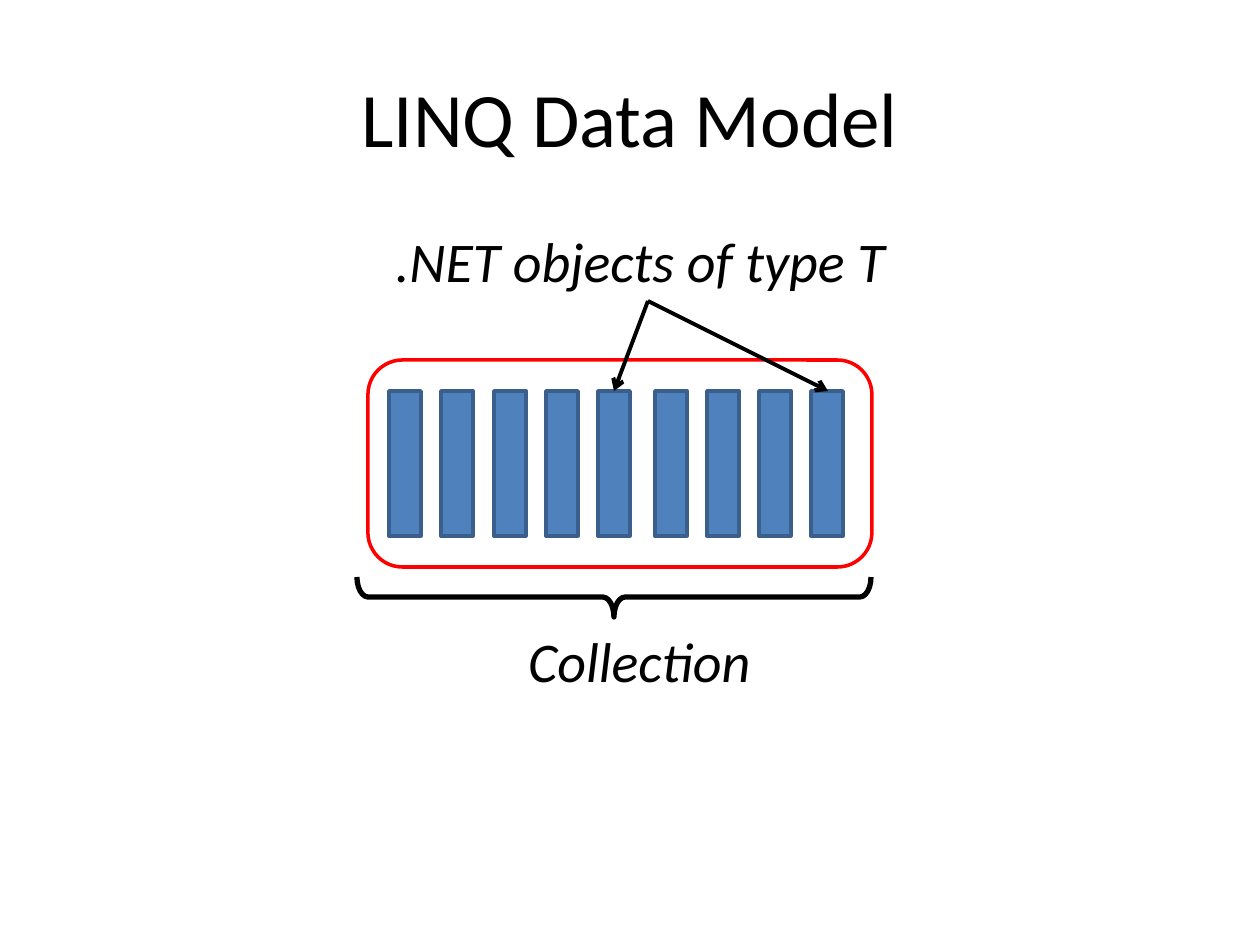
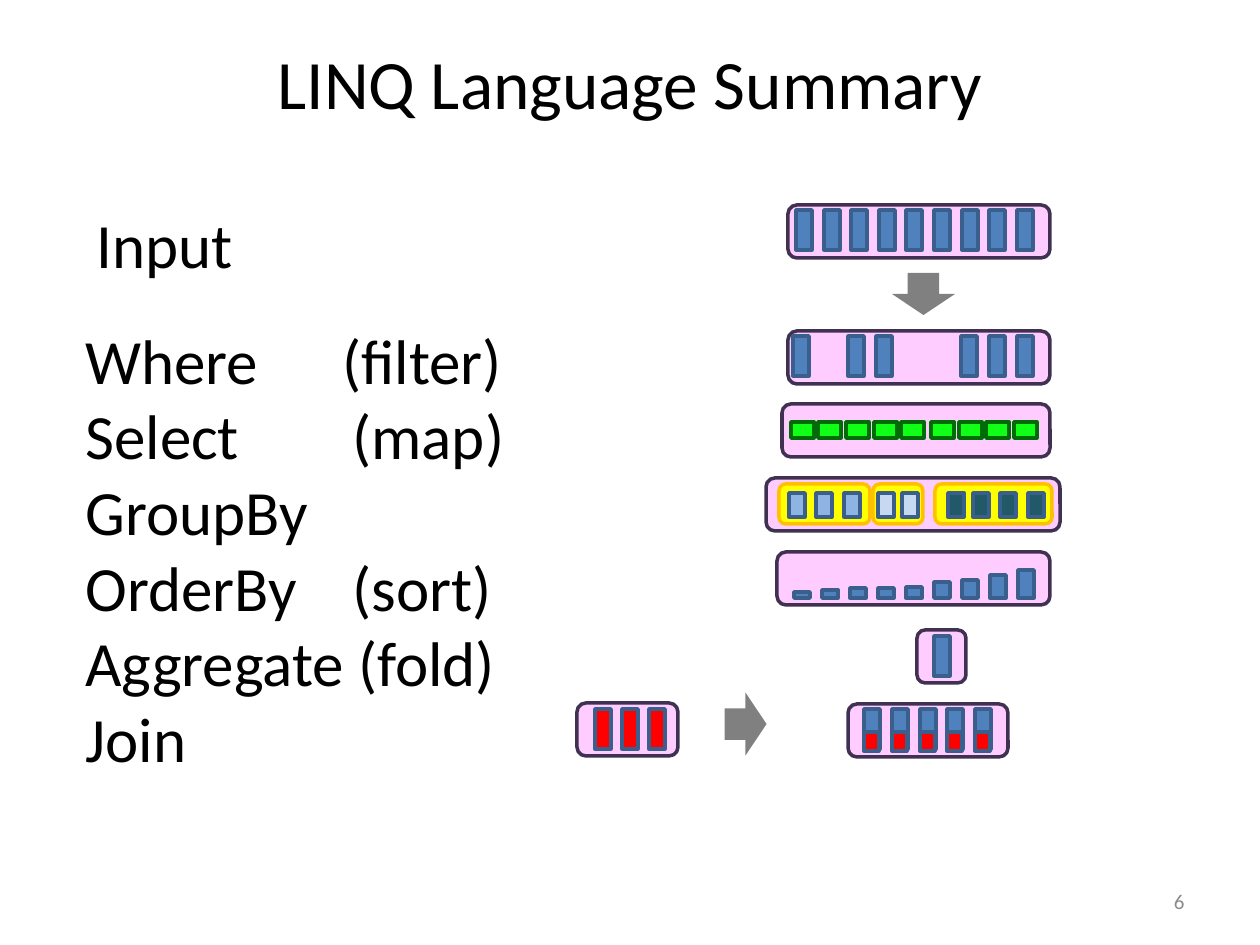
from dataclasses import dataclass

from lxml import etree
from pptx import Presentation
from pptx import util as u
from pptx.dml.color import RGBColor
from pptx.enum import shapes, text
from pptx.oxml import ns

# Shared style
SCALE = 914400 / 126
FONT = "Calibri"
COLORS = {
    "black": "000000", "number": "8C8C8C", "red": "FF0000",
    "blue": "4F81BD", "navy": "3A5F8C", "sky": "8EB4E3", "pale": "C6D9F1",
    "teal": "215968", "green": "11FF17", "forest": "006C05",
    "pink": "FFCCFF", "plum": "403152", "yellow": "FFFF00",
    "amber": "FFC000", "gray": "808080",
}
PRESET = shapes.MSO_SHAPE
ALIGN = text.PP_ALIGN


@dataclass
class Box:
    left: int
    top: int
    width: int
    height: int


@dataclass
class BarRow:
    """Equal bars spread from the first left edge to the last one."""
    first: int
    last: int
    count: int
    top: int
    height: int = 40
    width: int = 16
    fill: str = "blue"
    line: str = "navy"


def px(value: float) -> u.Emu:
    return u.Emu(round(value * SCALE))


def place(box: Box) -> tuple:
    return px(box.left), px(box.top), px(box.width), px(box.height)


def color(name: str) -> RGBColor:
    return RGBColor.from_string(COLORS[name])


def style_text(tf, size: float, align=ALIGN.LEFT, ink="black", italic=False) -> None:
    for p in tf.paragraphs:
        p.alignment = align
        for r in p.runs:
            r.font.name, r.font.size, r.font.italic = FONT, u.Pt(size), italic
            r.font.color.rgb = color(ink)


def add_title(prs, title: str, box: Box, size: float):
    slide = prs.slides.add_slide(prs.slide_layouts[5])
    sp = slide.shapes.title
    sp.left, sp.top, sp.width, sp.height = place(box)
    tf = sp.text_frame
    tf.text = title
    tf.auto_size = text.MSO_AUTO_SIZE.NONE
    tf.vertical_anchor = text.MSO_ANCHOR.MIDDLE
    style_text(tf, size, ALIGN.CENTER)
    return slide


def add_text(slide, words: str, box: Box, size: float, **style):
    tf = slide.shapes.add_textbox(*place(box)).text_frame
    tf.word_wrap = True
    tf.text = words
    style_text(tf, size, **style)
    return tf


def add_shape(slide, preset, box: Box, fill=None, line=None, weight: float = 2):
    sp = slide.shapes.add_shape(preset, *place(box))
    sp.shadow.inherit = False
    if fill:
        sp.fill.solid()
        sp.fill.fore_color.rgb = color(fill)
    else:
        sp.fill.background()
    if line:
        sp.line.color.rgb = color(line)
        sp.line.width = u.Pt(weight)
    else:
        sp.line.fill.background()
    return sp


def add_bars(slide, row: BarRow) -> None:
    pitch = (row.last - row.first) / max(row.count - 1, 1)
    for i in range(row.count):
        box = Box(round(row.first + i * pitch), row.top, row.width, row.height)
        add_shape(slide, PRESET.RECTANGLE, box, row.fill, row.line)


def add_arrow(slide, start: tuple[int, int], end: tuple[int, int]) -> None:
    line = slide.shapes.add_connector(
        shapes.MSO_CONNECTOR.STRAIGHT, *map(px, start + end))
    line.line.color.rgb = color("black")
    line.line.width = u.Pt(2.25)
    etree.SubElement(line.line._get_or_add_ln(), ns.qn("a:tailEnd"), type="arrow")
    etree.SubElement(line._element.spPr, ns.qn("a:effectLst"))


def add_tab(p, position: int) -> None:
    tabs = etree.SubElement(p._p.get_or_add_pPr(), ns.qn("a:tabLst"))
    etree.SubElement(tabs, ns.qn("a:tab"), pos=str(px(position)), algn="l")


def data_model(prs) -> None:
    slide = add_title(prs, "LINQ Data Model", Box(63, 38, 1134, 157), 44)

    # Collection of objects
    for first, last, count in ((389, 598, 5), (655, 811, 4)):
        add_bars(slide, BarRow(first, last, count, 391, 145, 32))
    add_shape(slide, PRESET.ROUNDED_RECTANGLE, Box(368, 360, 504, 207), line="red")
    brace = add_shape(slide, PRESET.LEFT_BRACE, Box(594, 340, 40, 514),
                      line="black", weight=3)
    brace.rotation = 270
    brace.adjustments[0] = 0.28

    # Labels and pointers
    add_text(slide, "Collection", Box(514, 620, 251, 81), 32,
             align=ALIGN.CENTER, italic=True)
    add_text(slide, ".NET objects of type T", Box(383, 220, 530, 81), 32, italic=True)
    for tip in ((828, 391), (614, 391)):
        add_arrow(slide, (648, 301), tip)


def language_summary(prs) -> None:
    slide = add_title(prs, "LINQ Language Summary", Box(63, 38, 1134, 88), 39.6)

    # Operator names, with their classic names at a tab stop
    add_text(slide, "Input", Box(84, 199, 163, 89), 36)
    operators = (("Where\t(filter)", 257), ("Select\t(map)", 267), ("GroupBy", 0),
                 ("OrderBy\t(sort)", 267), ("Aggregate (fold)", 0), ("Join", 0))
    tf = add_text(slide, "\n".join(words for words, _ in operators),
                  Box(73, 315, 460, 471), 36)
    for p, (_, stop) in zip(tf.paragraphs, operators):
        if stop:
            add_tab(p, stop)

    # Collections
    collections = (
        Box(788, 205, 262, 53),   # input
        Box(788, 331, 262, 53),   # where
        Box(782, 404, 268, 53),   # select
        Box(766, 478, 294, 53),   # group by
        Box(777, 552, 273, 53),   # order by
        Box(917, 630, 49, 53),    # aggregate
        Box(577, 703, 101, 53),   # join, second input
        Box(848, 704, 160, 53),   # join, result
    )
    for box in collections:
        add_shape(slide, PRESET.ROUNDED_RECTANGLE, box, "pink", "plum")
    for left, width in ((779, 91), (873, 50), (935, 117)):
        add_shape(slide, PRESET.ROUNDED_RECTANGLE, Box(left, 484, width, 40),
                  "yellow", "amber")

    # Elements of each collection
    green = dict(height=16, width=23, fill="green", line="forest")
    rows = (
        BarRow(796, 1017, 9, 210),
        BarRow(793, 793, 1, 336),
        BarRow(848, 876, 2, 336),
        BarRow(961, 1017, 3, 336),
        BarRow(791, 901, 5, 422, **green),
        BarRow(931, 1014, 4, 422, **green),
        BarRow(789, 844, 3, 493, 24, fill="sky"),
        BarRow(878, 902, 2, 493, 24, fill="pale"),
        BarRow(948, 948, 1, 493, 24, fill="teal"),
        BarRow(973, 1028, 3, 493, 24, fill="teal"),
        BarRow(934, 934, 1, 636),
        BarRow(595, 649, 3, 709, fill="red"),
        BarRow(864, 975, 5, 709),
        BarRow(864, 975, 5, 732, 19, 15, "red"),
    )
    for row in rows:
        add_bars(slide, row)

    # Sorted bars share one baseline
    baseline = 598
    for i, height in enumerate((6, 8, 10, 10, 11, 16, 18, 23, 28)):
        add_shape(slide, PRESET.RECTANGLE,
                  Box(794 + 28 * i, baseline - height, 16, height), "blue", "navy")

    # Flow arrows
    for box, turn in ((Box(892, 273, 63, 42), 0), (Box(714, 703, 63, 42), 270)):
        add_shape(slide, PRESET.DOWN_ARROW, box, "gray").rotation = turn

    # Slide number
    tf = add_text(slide, "6", Box(903, 876, 294, 50), 12,
                  align=ALIGN.RIGHT, ink="number")
    tf.vertical_anchor = text.MSO_ANCHOR.MIDDLE


def main() -> None:
    prs = Presentation()
    prs.slide_width, prs.slide_height = px(1260), px(945)
    data_model(prs)
    language_summary(prs)
    prs.save("out.pptx")


if __name__ == "__main__":
    main()
